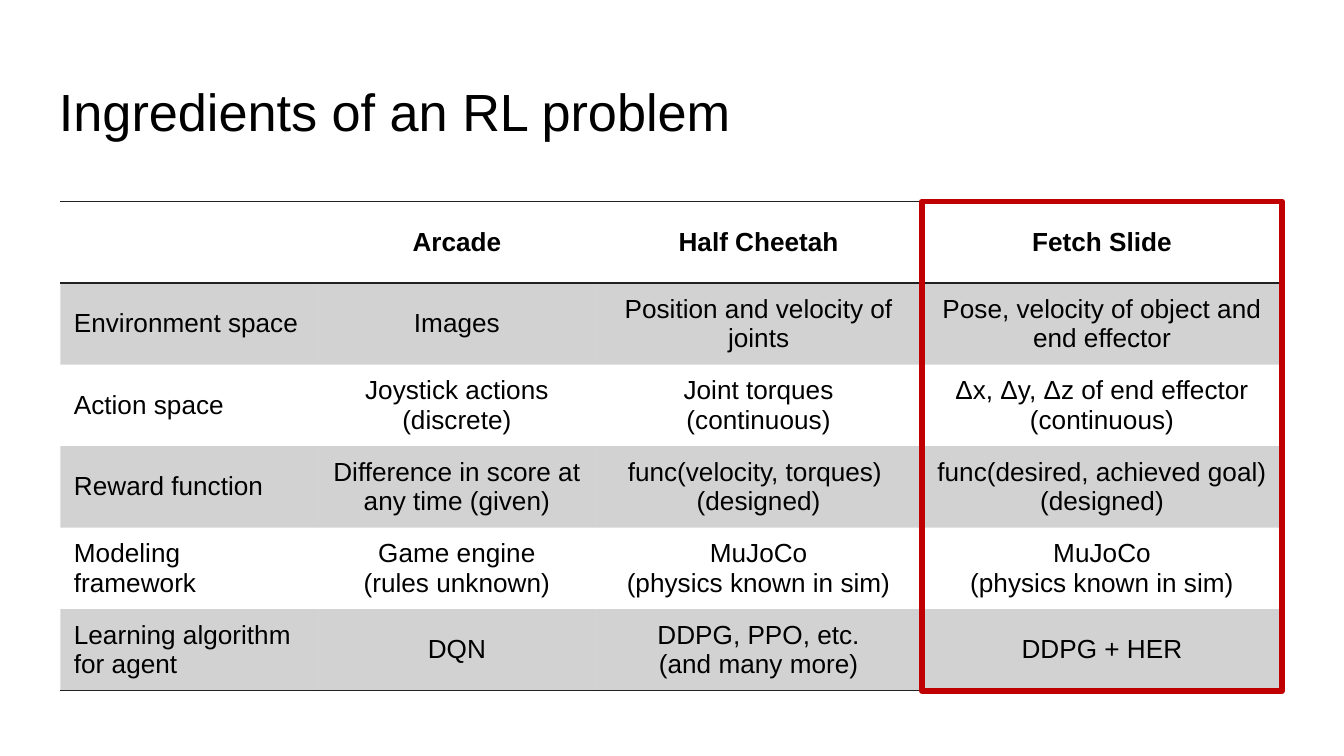
from lxml import etree
from pptx import Presentation
from pptx.dml.color import RGBColor
from pptx.enum.shapes import MSO_SHAPE
from pptx.enum.text import MSO_ANCHOR, PP_ALIGN
from pptx.oxml.ns import qn
from pptx.util import Inches, Pt

RECT = MSO_SHAPE.RECTANGLE
MIDDLE = MSO_ANCHOR.MIDDLE
LEFT, CENTER = PP_ALIGN.LEFT, PP_ALIGN.CENTER

FONT = "Arial"
BLACK, RULE, RED = "000000", "212121", "C00000"
NO_STYLE = "{2D5ABB26-0587-4C30-8999-92F81FD0307C}"

# Table geometry in inches
TABLE_X, TABLE_Y, TABLE_H = 0.45, 1.5, 3.64
COLUMNS = [1.92, 2.06, 2.43, 2.68]

# A line break within a cell starts a new paragraph
ROWS = [
    ["", "Arcade", "Half Cheetah", "Fetch Slide"],
    ["Environment space", "Images", "Position and velocity of joints",
     "Pose, velocity of object and end effector"],
    ["Action space", "Joystick actions\n(discrete)", "Joint torques\n(continuous)",
     "Δx, Δy, Δz of end effector\n(continuous)"],
    ["Reward function", "Difference in score at any time (given)",
     "func(velocity, torques) \n(designed)",
     "func(desired, achieved goal) \n(designed)"],
    ["Modeling framework", "Game engine\n(rules unknown)",
     "MuJoCo\n(physics known in sim)", "MuJoCo\n(physics known in sim)"],
    ["Learning algorithm for agent", "DQN", "DDPG, PPO, etc.\n(and many more)",
     "DDPG + HER"],
]


def rgb(color):
    return RGBColor.from_string(color)


def write(tf, text, size, align=LEFT, bold=False):
    tf.text = text
    for p in tf.paragraphs:
        p.alignment = align
        p.font.name = FONT
        p.font.size = Pt(size)
        p.font.bold = bold
        p.font.color.rgb = rgb(BLACK)


def add_title(slide, text):
    tf = slide.shapes.add_textbox(
        Inches(0.34), Inches(0.49), Inches(9.32), Inches(0.63)).text_frame
    tf.word_wrap = True
    tf.margin_left = tf.margin_right = Inches(0.1)
    tf.margin_top = tf.margin_bottom = Inches(0.1)
    write(tf, text, 28)


def add_border(cell, side):
    """Draw a 1 pt rule on one side ("T" or "B"); call before filling."""
    ln = etree.SubElement(cell._tc.get_or_add_tcPr(), qn(f"a:ln{side}"), w=str(Pt(1)))
    fill = etree.SubElement(ln, qn("a:solidFill"))
    etree.SubElement(fill, qn("a:srgbClr"), val=RULE)


def shade(cell, color, opacity):
    cell.fill.solid()
    cell.fill.fore_color.rgb = rgb(color)
    clr = cell._tc.tcPr.find(qn("a:solidFill")).find(qn("a:srgbClr"))
    etree.SubElement(clr, qn("a:alpha"), val=str(opacity * 1000))


def add_table(slide):
    table = slide.shapes.add_table(
        len(ROWS), len(COLUMNS), Inches(TABLE_X), Inches(TABLE_Y),
        Inches(sum(COLUMNS)), Inches(TABLE_H)).table
    table.first_row = table.horz_banding = False
    table._tbl.tblPr.find(qn("a:tableStyleId")).text = NO_STYLE
    for column, width in zip(table.columns, COLUMNS):
        column.width = Inches(width)

    for i, row in enumerate(ROWS):
        for j, text in enumerate(row):
            cell = table.cell(i, j)
            cell.vertical_anchor = MIDDLE
            write(cell.text_frame, text, 14, CENTER if j else LEFT, bold=i == 0)
            # Rules around the header and under the last row
            if i == 0:
                add_border(cell, "T")
            if i in (0, len(ROWS) - 1):
                add_border(cell, "B")
            # Every second row is shaded
            if i % 2:
                shade(cell, RULE, 20)
            else:
                cell.fill.background()


def add_highlight(slide):
    """Frame the last column of the table."""
    sp = slide.shapes.add_shape(
        RECT, Inches(TABLE_X + sum(COLUMNS[:-1])), Inches(TABLE_Y),
        Inches(COLUMNS[-1]), Inches(TABLE_H))
    sp.shadow.inherit = False
    sp.fill.background()
    sp.line.color.rgb = rgb(RED)
    sp.line.width = Pt(3)
    etree.SubElement(sp.line._get_or_add_ln(), qn("a:round"))


def main():
    prs = Presentation()
    # 16:9 slide, 10 inches wide
    prs.slide_width = Inches(10)
    prs.slide_height = Inches(10 * 9 / 16)
    slide = prs.slides.add_slide(prs.slide_layouts[6])
    add_title(slide, "Ingredients of an RL problem")
    add_table(slide)
    add_highlight(slide)
    prs.save("out.pptx")


if __name__ == "__main__":
    main()
